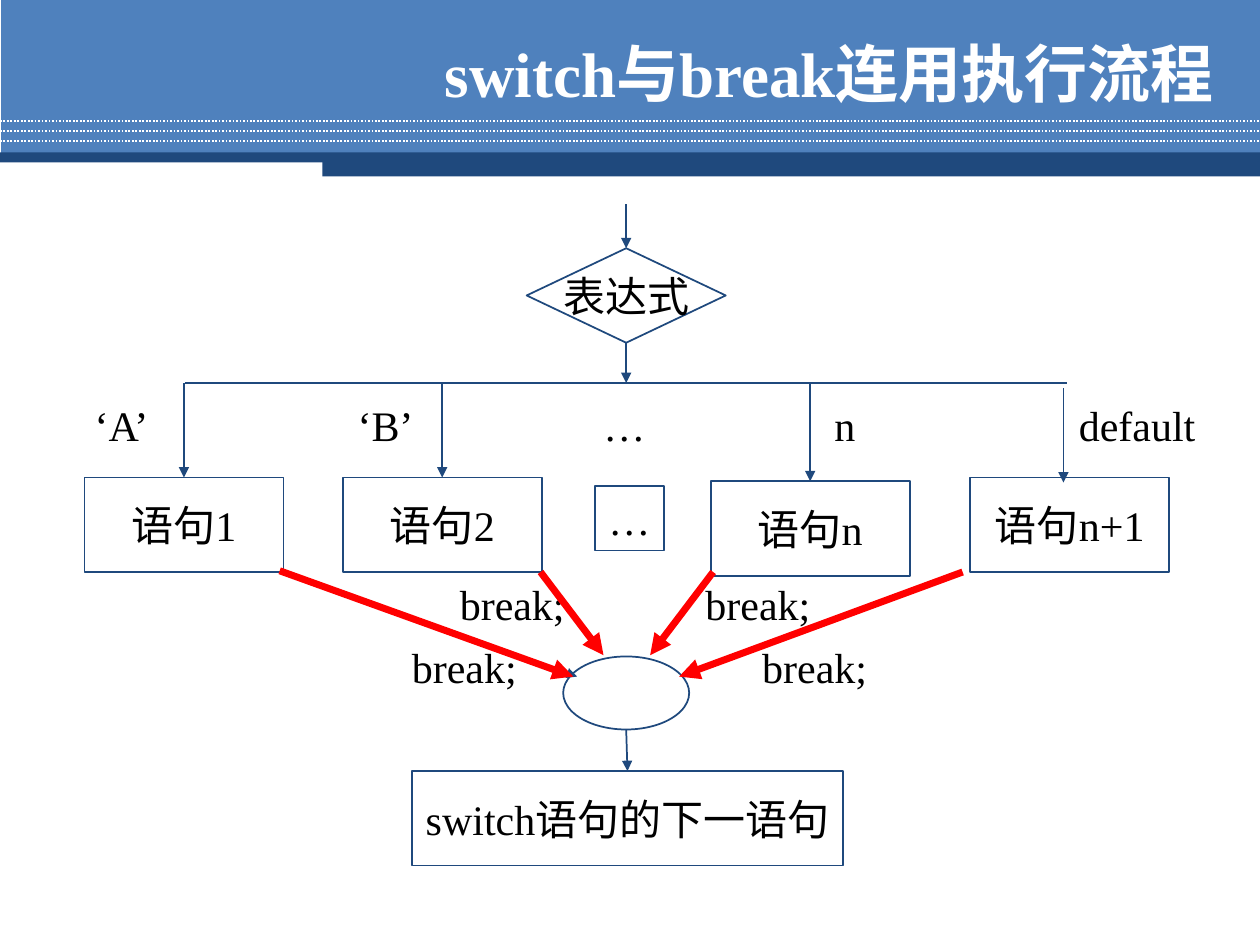
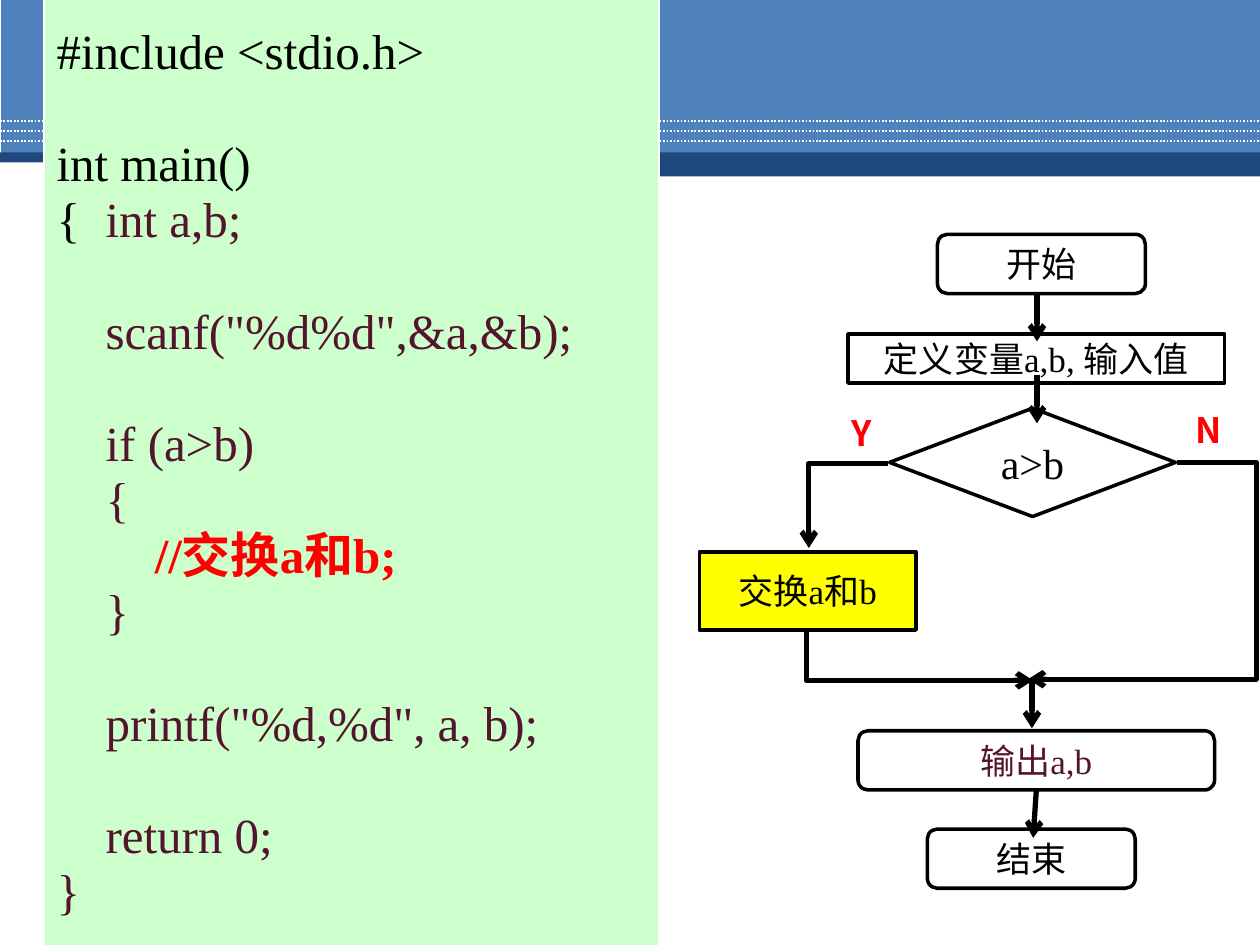
from dataclasses import dataclass
from typing import Optional

from lxml import etree
from pptx import Presentation
from pptx import util as u
from pptx.dml import color
from pptx.enum import dml, shapes, text
from pptx.oxml import ns

COLORS = {
    "band": "4F81BD", "navy": "1F497D", "white": "FFFFFF", "black": "000000",
    "red": "FF0000", "plum": "54142E", "panel": "CCFFCC", "yellow": "FFFF00",
}
SERIF, SANS, CJK = "Times New Roman", "Arial", "Noto Sans CJK SC"
S = shapes.MSO_SHAPE
CENTER, RIGHT = text.PP_ALIGN.CENTER, text.PP_ALIGN.RIGHT
TOP, MIDDLE = text.MSO_ANCHOR.TOP, text.MSO_ANCHOR.MIDDLE


@dataclass(frozen=True)
class Style:
    size: float = 24
    color: str = "black"
    font: str = SERIF
    bold: bool = False


@dataclass(frozen=True)
class Box:
    kind: shapes.MSO_SHAPE
    at: tuple[float, float, float, float]
    text: str = ""
    style: Style = Style()
    line: Optional[str] = "navy"
    width: float = 1
    fill: Optional[str] = None
    wrap: bool = False


@dataclass(frozen=True)
class Line:
    start: tuple[float, float]
    end: tuple[float, float]
    color: str = "navy"
    width: float = 1
    tail: Optional[str] = "triangle"
    head: Optional[str] = None


@dataclass(frozen=True)
class CodeLine:
    text: str
    indent: int = 0
    gap: bool = False
    color: str = "plum"
    bold: bool = False


def rgb(name: str) -> color.RGBColor:
    return color.RGBColor.from_string(COLORS[name])


def add_run(p, words: str, style: Style) -> None:
    r = p.add_run()
    r.text = words
    fmt = {"size": u.Pt(style.size), "name": style.font, "bold": style.bold}
    for key, value in fmt.items():
        setattr(r.font, key, value)
    r.font.color.rgb = rgb(style.color)
    etree.SubElement(r.font._element, ns.qn("a:ea"), typeface=CJK)


def add_box(slide, box: Box):
    sp = slide.shapes.add_shape(box.kind, *map(u.Inches, box.at))
    sp.shadow.inherit = False
    if box.fill:
        sp.fill.solid()
        sp.fill.fore_color.rgb = rgb(box.fill)
    else:
        sp.fill.background()
    if box.line:
        sp.line.color.rgb = rgb(box.line)
        sp.line.width = u.Pt(box.width)
    else:
        sp.line.fill.background()
    if box.text:
        write(sp.text_frame, box.text, box.style, MIDDLE, CENTER, box.wrap)
    return sp


def write(tf, words: str, style: Style, anchor, align, wrap: bool) -> None:
    for key, value in {"word_wrap": wrap, "vertical_anchor": anchor}.items():
        setattr(tf, key, value)
    p = tf.paragraphs[0]
    p.alignment = align
    add_run(p, words, style)


def add_label(slide, at, words: str, style: Style = Style(), anchor=TOP, align=CENTER) -> None:
    sp = slide.shapes.add_textbox(*map(u.Inches, at))
    write(sp.text_frame, words, style, anchor, align, True)


def add_line(slide, line: Line, kind=shapes.MSO_CONNECTOR.STRAIGHT):
    c = slide.shapes.add_connector(kind, *map(u.Inches, line.start + line.end))
    c.line.color.rgb = rgb(line.color)
    c.line.width = u.Pt(line.width)
    ln = c.line._get_or_add_ln()
    for tag, end in (("a:headEnd", line.head), ("a:tailEnd", line.tail)):
        if end:
            etree.SubElement(ln, ns.qn(tag), type=end)
    etree.SubElement(c._element.spPr, ns.qn("a:effectLst"))
    return c


def add_elbow(slide, line: Line, bend: Optional[float] = None) -> None:
    """Leave start sideways; turn once, or twice when bend gives the turn as a share of the width."""
    c = add_line(slide, line, shapes.MSO_CONNECTOR.ELBOW)
    geom = c._element.spPr.find(ns.qn("a:prstGeom"))
    if bend is None:
        geom.set("prst", "bentConnector2")
        return
    guides = geom.find(ns.qn("a:avLst"))
    if guides is None:
        guides = etree.SubElement(geom, ns.qn("a:avLst"))
    etree.SubElement(guides, ns.qn("a:gd"), name="adj1", fmla=f"val {round(bend * 100000)}")


def add_slide(prs):
    """Add a blank slide with the shared header bands."""
    slide = prs.slides.add_slide(prs.slide_layouts[6])
    add_box(slide, Box(S.RECTANGLE, (0.01, 0, 9.99, 1.23), line=None, fill="band"))
    for i in range(3):
        y = 0.96 + 0.08 * i
        c = add_line(slide, Line((0, y), (10, y), "white", tail=None))
        c.line.dash_style = dml.MSO_LINE.ROUND_DOT
    for at in ((0, 1.21, 10, 0.08), (2.56, 1.24, 7.44, 0.16)):
        add_box(slide, Box(S.RECTANGLE, at, line=None, fill="navy"))
    return slide


def build_switch_slide(prs) -> None:
    slide = add_slide(prs)
    add_label(slide, (2.81, 0.28, 6.92, 0.58), "switch与break连用执行流程",
              Style(36, "white", bold=True), MIDDLE, RIGHT)

    mid, rail = 4.97, 3.04
    expression = add_box(slide, Box(S.DIAMOND, (4.18, 1.97, 1.58, 0.75), "表达式"))
    add_line(slide, Line((mid, 1.62), (mid, 1.97))).end_connect(expression, 0)
    add_line(slide, Line((mid, 2.72), (mid, rail))).begin_connect(expression, 2)
    add_line(slide, Line((1.47, rail), (8.47, rail), tail=None))

    branches = (("语句1", 0.67, 3.79), ("语句2", 2.72, 3.79), ("语句n", 5.64, 3.82))
    for words, x, y in branches:
        sp = add_box(slide, Box(S.RECTANGLE, (x, y, 1.58, 0.75), words))
        add_line(slide, Line((x + 0.79, rail), (x + 0.79, y))).end_connect(sp, 0)
    add_box(slide, Box(S.RECTANGLE, (7.7, 3.79, 1.58, 0.75), "语句n+1"))
    add_line(slide, Line((8.44, 3.08), (8.44, 3.83)))
    add_box(slide, Box(S.RECTANGLE, (4.72, 3.86, 0.55, 0.51), "…"))

    cases = (("‘A’", 0.51, 0.91), ("‘B’", 2.64, 0.84), ("…", 4.69, 0.53),
             ("n", 6.52, 0.37), ("default", 8.39, 1.27))
    for words, x, w in cases:
        add_label(slide, (x, 3.12, w, 0.5), words)

    add_box(slide, Box(S.OVAL, (4.47, 5.21, 1, 0.58)))
    following = add_box(slide, Box(S.RECTANGLE, (3.27, 6.12, 3.42, 0.75), "switch语句的下一语句"))
    add_line(slide, Line((mid, 5.79), (mid, 6.12))).end_connect(following, 0)
    for x, y in ((3.11, 5.04), (3.49, 4.54), (5.44, 4.54), (5.89, 5.04)):
        add_label(slide, (x, y, 1.15, 0.49), "break;")

    add_line(slide, Line((2.24, 4.54), (4.58, 5.37)))
    breaks = (((7.64, 4.54), (5.39, 5.37)), ((5.66, 4.54), (5.16, 5.2)),
              ((2.22, 4.53), (4.55, 5.37)), ((4.29, 4.54), (4.79, 5.2)))
    for start, end in breaks:
        add_line(slide, Line(start, end, "red", 4))


def add_code(slide, lines: list[CodeLine]) -> None:
    """Write the program in a green panel; a tab reaches the first indent."""
    step, pitch = 0.39, u.Pt(32)
    sp = add_box(slide, Box(S.RECTANGLE, (0.35, -0.05, 4.88, 7.58),
                            line="white", width=0.75, fill="panel"))
    tf = sp.text_frame
    tf.word_wrap, tf.vertical_anchor = True, MIDDLE
    for i, line in enumerate(lines):
        p = tf.add_paragraph() if i else tf.paragraphs[0]
        fmt = {"alignment": text.PP_ALIGN.LEFT, "line_spacing": pitch,
               "space_before": pitch if line.gap else u.Pt(0)}
        for key, value in fmt.items():
            setattr(p, key, value)
        brace, tab, rest = line.text.rpartition("\t")
        indent = u.Inches(step * (line.indent + bool(tab)))
        pPr = p._p.get_or_add_pPr()
        pPr.set("marL", str(indent))
        pPr.set("indent", str(-indent if tab else 0))
        if tab:
            add_run(p, brace + tab, Style(28))
        add_run(p, rest, Style(28, line.color, bold=line.bold))


def build_swap_slide(prs) -> None:
    slide = add_slide(prs)
    add_code(slide, [
        CodeLine("#include <stdio.h>", color="black"),
        CodeLine("int main()", gap=True, color="black"),
        CodeLine("{\tint a,b;"),
        CodeLine('scanf("%d%d",&a,&b);', 1, gap=True),
        CodeLine("if (a>b)", 1, gap=True),
        CodeLine("{", 1),
        CodeLine("//交换a和b;", 2, color="red", bold=True),
        CodeLine("}", 1),
        CodeLine('printf("%d,%d", a, b);', 1, gap=True),
        CodeLine("return 0;", 1, gap=True),
        CodeLine("}"),
    ])

    def step(kind, at, words: str, style: Style, fill: Optional[str] = None):
        return add_box(slide, Box(kind, at, words, style, "black", 2, fill, True))

    def flow(start, end, **ends) -> Line:
        return Line(start, end, "black", 3, **({"tail": "arrow"} | ends))

    rounded, process = S.FLOWCHART_ALTERNATE_PROCESS, S.FLOWCHART_PROCESS
    step(rounded, (7.44, 1.86, 1.65, 0.47), "开始", Style(20, font=SANS))
    step(process, (6.73, 2.65, 2.99, 0.39), "定义变量a,b, 输入值", Style(20))
    step(S.FLOWCHART_DECISION, (7.06, 3.24, 2.27, 0.86), "a>b", Style())
    step(process, (5.55, 4.38, 1.72, 0.62), "交换a和b", Style(20), "yellow")
    output = step(rounded, (6.81, 5.8, 2.83, 0.47), "输出a,b", Style(20, "plum"))
    step(rounded, (7.36, 6.58, 1.65, 0.47), "结束", Style(20, font=SANS))

    for x, y in ((8.23, 2.33), (8.23, 2.98), (8.19, 5.4)):
        add_line(slide, flow((x, y), (x, y + 0.38)))
    add_line(slide, flow((8.22, 6.27), (8.2, 6.65))).begin_connect(output, 2)

    add_elbow(slide, flow((7.05, 3.68), (6.42, 4.35)))
    add_elbow(slide, flow((8.2, 5.4), (6.4, 5.01), tail=None, head="arrow"))
    left, right, far = 8.16, 9.34, 9.97
    add_elbow(slide, flow((right, 3.67), (left, 5.39)), (right - far) / (right - left))

    for words, x, y in (("N", 9.2, 3.19), ("Y", 6.44, 3.22)):
        add_label(slide, (x, y, 0.79, 0.43), words, Style(20, "red", CJK, True))


def main() -> None:
    prs = Presentation()
    prs.slide_width, prs.slide_height = u.Inches(10), u.Inches(7.5)
    build_switch_slide(prs)
    build_swap_slide(prs)
    prs.save("out.pptx")


if __name__ == "__main__":
    main()
